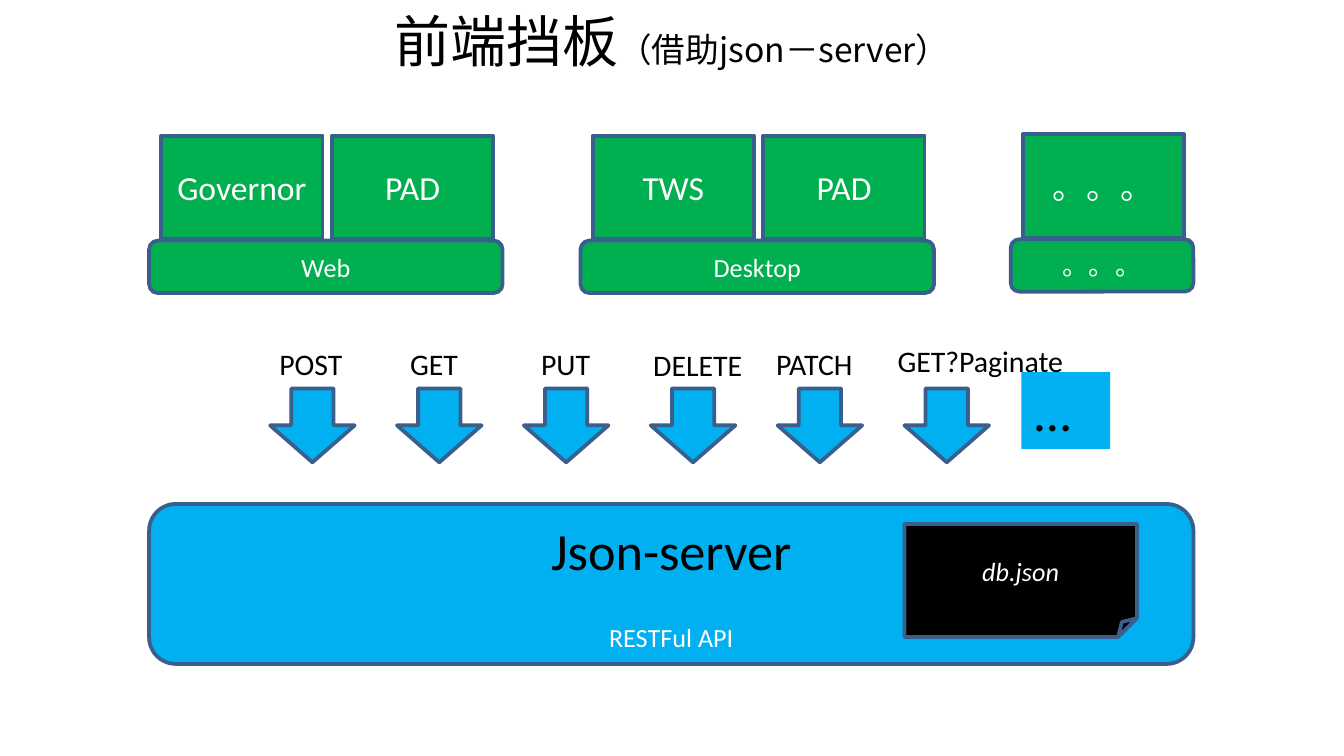
from pptx import Presentation
from pptx.dml.color import RGBColor
from pptx.enum.shapes import MSO_SHAPE
from pptx.enum.text import MSO_ANCHOR, MSO_AUTO_SIZE, PP_ALIGN
from pptx.oxml.ns import qn
from pptx.util import Inches, Pt
from lxml import etree

RECT, ROUND = MSO_SHAPE.RECTANGLE, MSO_SHAPE.ROUNDED_RECTANGLE
ARROW, FOLD = MSO_SHAPE.DOWN_ARROW, MSO_SHAPE.FOLDED_CORNER
TOP, MID = MSO_ANCHOR.TOP, MSO_ANCHOR.MIDDLE
LEFT, MIDDLE = PP_ALIGN.LEFT, PP_ALIGN.CENTER
NOFIT = MSO_AUTO_SIZE.NONE

GREEN, BLUE, EDGE = "00B050", "00B0F0", "3A5F8C"
BLACK, WHITE = "000000", "FFFFFF"
LATIN, HAN = "Calibri", "Noto Sans CJK SC"

# Grid: square cells, 100 columns across and 56.25 rows down
CELL = Inches(10) // 100


def grid(*nums):
    return [round(n * CELL) for n in nums]


def paint(color, code):
    color.rgb = RGBColor.from_string(code)


def style(font, size, code, **more):
    for key, val in {"name": LATIN, "size": Pt(size), **more}.items():
        setattr(font, key, val)
    paint(font.color, code)


def write(frame, lines, anchor=MID, align=MIDDLE, wrap=True):
    """Each line is (text, size, colour, format values)."""
    for key, val in {"word_wrap": wrap, "auto_size": NOFIT,
                     "vertical_anchor": anchor}.items():
        setattr(frame, key, val)
    for i, (text, size, code, more) in enumerate(lines):
        par = frame.add_paragraph() if i else frame.paragraphs[0]
        par.alignment = align
        run = par.add_run()
        run.text = text
        style(run.font, size, code, **more)


def block(slide, kind, box, fill, edge=EDGE):
    shape = slide.shapes.add_shape(kind, *grid(*box))
    shape.shadow.inherit = False
    shape.fill.solid()
    paint(shape.fill.fore_color, fill)
    if edge:
        shape.line.width = Pt(2)
        paint(shape.line.color, edge)
    else:
        shape.line.fill.background()
    return shape


def heading(slide, box):
    title = slide.shapes.title
    title.left, title.top, title.width, title.height = grid(*box)
    frame = title.text_frame
    write(frame, [("前端挡板", 30, BLACK, {"name": HAN})])
    run = frame.paragraphs[0].add_run()
    run.text = "（借助json－server）"
    style(run.font, 18, BLACK, name=HAN)
    for part in frame.paragraphs[0].runs:
        latin = part.font._element.find(qn("a:latin"))
        latin.addnext(etree.Element(qn("a:ea"), typeface=HAN))


def client(slide, box, name, apps):
    """A base bar with a row of app tiles standing on it."""
    x, y, w, h = box
    bar = 3.9
    base = block(slide, ROUND, (x, y + h - bar, w, bar), GREEN)
    write(base.text_frame, [(name, 14, WHITE, {})])
    for i, app in enumerate(apps):
        tile = block(slide, RECT, (x + 0.9 + i * 12.7, y, 12, 7.7), GREEN)
        write(tile.text_frame, [(app, 18, WHITE, {})])


def calls(slide, box, verbs):
    """Evenly spaced arrows, each under its label, then a block for the rest."""
    x, y, w, h = box
    wide, tall = 6.3, 5.5
    step = (w - wide) / (len(verbs) - 1)
    for i, (verb, shift, drop, span) in enumerate(verbs):
        left = x + i * step
        block(slide, ARROW, (left, y + h - tall, wide, tall), BLUE)
        label = slide.shapes.add_textbox(
            *grid(left + shift, y + drop, span, 3.7))
        write(label.text_frame, [(verb, 16, BLACK, {})], TOP, LEFT, False)
    rest = block(slide, RECT, (x + w + 2.4, y + 2.5, 6.6, 5.7), BLUE, None)
    write(rest.text_frame, [("…", 28, BLACK, {})], TOP, LEFT)


def server(slide, box):
    x, y, w, h = box
    body = block(slide, ROUND, box, BLUE)
    write(body.text_frame, [("Json-server", 28, BLACK, {}),
                            ("RESTFul API", 14, WHITE, {})], TOP)
    body.text_frame.paragraphs[1].space_before = Pt(21.5)
    data = block(slide, FOLD, (x + w - 21.5, y + 1.5, 17.3, 8.4), BLACK)
    write(data.text_frame, [("db.json", 14, WHITE, {"italic": True})])


def main():
    deck = Presentation()
    deck.slide_width, deck.slide_height = grid(100, 56.25)
    slide = deck.slides.add_slide(deck.slide_layouts[5])

    heading(slide, (0, 0.2, 100, 5.5))
    server(slide, (11.1, 37.5, 77.7, 11.9))

    # Clients
    client(slide, (11.1, 10.1, 26.3, 11.7), "Web", ["Governor", "PAD"])
    client(slide, (43.2, 10.1, 26.3, 11.7), "Desktop", ["TWS", "PAD"])
    client(slide, (75.2, 10, 13.6, 11.7), "。。。", ["。。。"])

    # Requests: label, shift from its arrow, drop, width
    calls(slide, (20.1, 25.2, 53.5, 9.2), [
        ("POST", -0.3, 0, 6.8), ("GET", 0, 0, 5.6), ("PUT", 0.3, 0, 5.7),
        ("DELETE", -0.8, 0.1, 8.8), ("PATCH", -1.1, 0, 7.8),
        ("GET?Paginate", -1.5, -0.2, 14.5)])

    deck.save("out.pptx")


if __name__ == "__main__":
    main()
